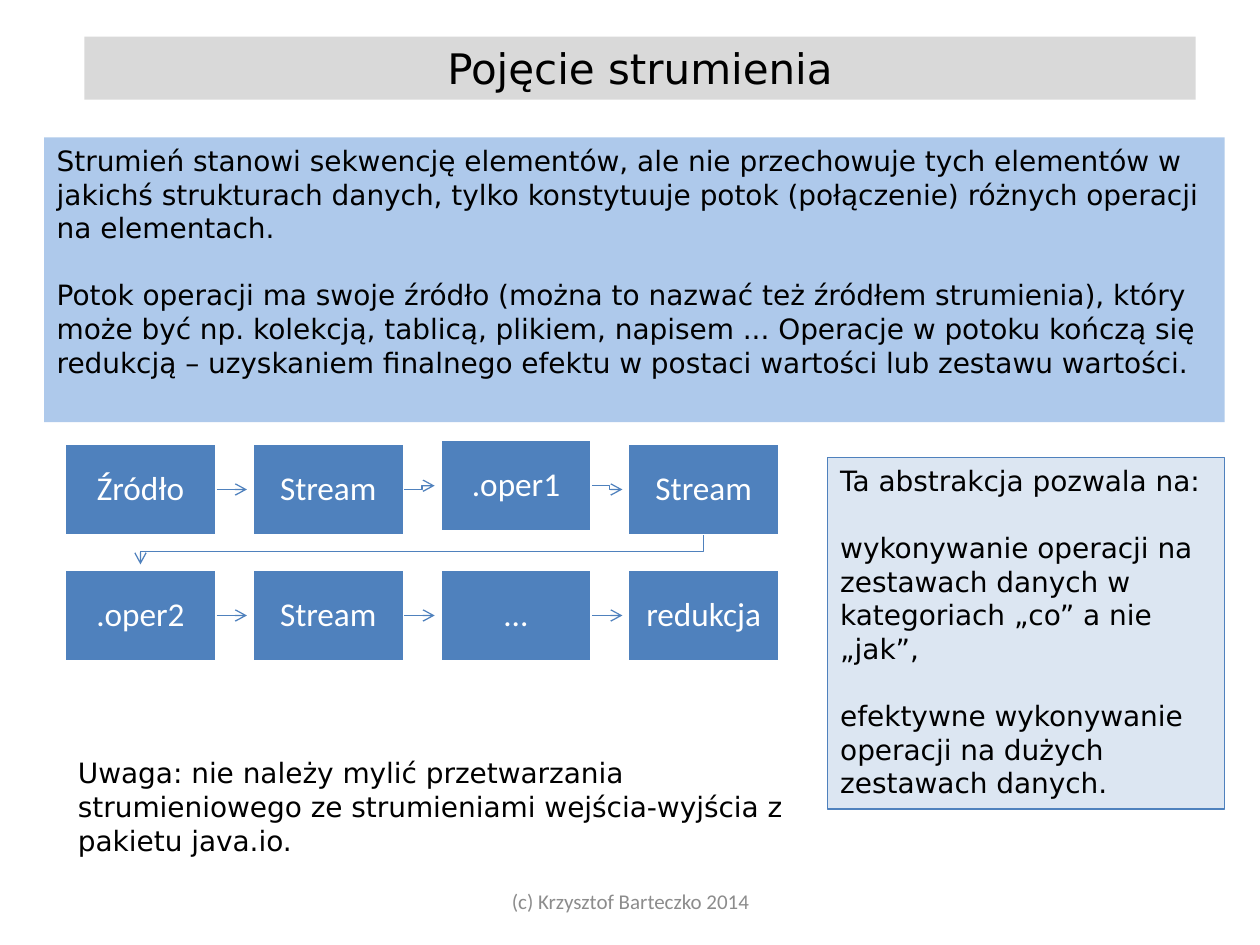
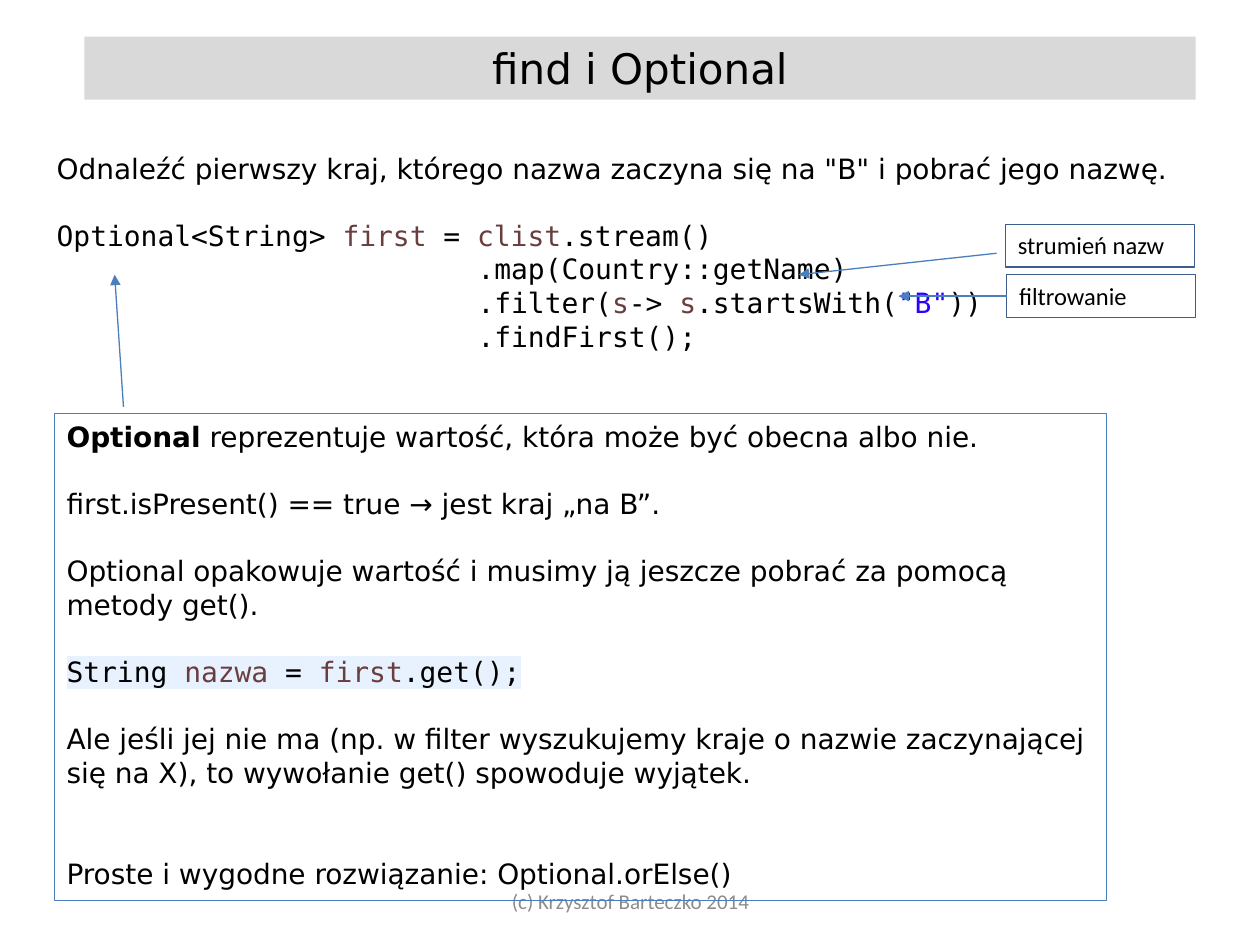
from lxml import etree
from pptx import Presentation
from pptx import util as u
from pptx.dml.color import RGBColor
from pptx.enum import shapes, text
from pptx.oxml.ns import qn

# Shared style
SANS, MONO, UI = "DejaVu Sans", "DejaVu Sans Mono", "Calibri"
BLACK, WHITE, GREY, BAND = "000000", "FFFFFF", "8C8C8C", "D9D9D9"
BLUE, ARROW, LABEL_EDGE = "4F81BD", "4B7EBC", "3A5F8C"
INTRO_FILL, NOTE_FILL, CODE_BACK = "8EB4E3", "DCE6F2", "E8F2FE"
VAR, STRING = {"color": "6A3E3E"}, {"color": "2A00FF"}
FOOTER = "(c) Krzysztof Barteczko 2014"


def para(runs, gap=0, **style):
    """A paragraph; gap counts the lines left free above it."""
    return {"runs": [(runs, {})] if isinstance(runs, str) else runs,
            "gap": gap, "style": style}


# Content: stream concept
INTRO = [
    para("Strumień stanowi sekwencję elementów, ale nie przechowuje tych elementów w "
         "jakichś strukturach danych, tylko konstytuuje potok (połączenie) różnych "
         "operacji na elementach."),
    para("Potok operacji ma swoje źródło (można to nazwać też źródłem strumienia), który "
         "może być np. kolekcją, tablicą, plikiem, napisem ... Operacje w potoku kończą "
         "się redukcją – uzyskaniem finalnego efektu w postaci wartości lub zestawu "
         "wartości.", gap=1),
]
PIPELINE = [["Źródło", "Stream", ".oper1", "Stream"],
            [".oper2", "Stream", "...", "redukcja"]]
BENEFITS = [
    para("Ta abstrakcja pozwala na:"),
    para("wykonywanie operacji na zestawach danych w kategoriach „co” a nie „jak”,", gap=1),
    para("efektywne wykonywanie operacji na dużych zestawach danych.", gap=1),
]
REMARK = [para("Uwaga: nie należy mylić przetwarzania strumieniowego ze strumieniami "
               "wejścia-wyjścia z pakietu java.io.")]

# Content: find and Optional
CODE = {"font": MONO}
CHAIN = {"font": MONO, "indent": 3.34}
TASK = [
    para('Odnaleźć pierwszy kraj, którego nazwa zaczyna się na "B" i pobrać jego nazwę.'),
    para([("Optional<String> ", {}), ("first", VAR), (" = ", {}), ("clist", VAR),
          (".stream()", {})], gap=1, **CODE),
    para(".map(Country::getName)", **CHAIN),
    para([(".filter(", {}), ("s", VAR), ("-> ", {}), ("s", VAR), (".startsWith(", {}),
          ('"B"', STRING), ("))", {})], **CHAIN),
    para(".findFirst();", **CHAIN),
]
OPTIONAL = [
    para([("Optional", {"bold": True}),
          (" reprezentuje wartość, która może być obecna albo nie.", {})]),
    para("first.isPresent() == true → jest kraj „na B”.", gap=1),
    para("Optional opakowuje wartość i musimy ją jeszcze pobrać za pomocą metody get().",
         gap=1),
    para([("String ", {}), ("nazwa", VAR), (" = ", {}), ("first", VAR), (".get();", {})],
         gap=1, font=MONO, highlight=CODE_BACK),
    para("Ale jeśli jej nie ma (np. w filter wyszukujemy kraje o nazwie zaczynającej się "
         "na X), to wywołanie get() spowoduje wyjątek.", gap=1),
    para("Proste i wygodne rozwiązanie: Optional.orElse()", gap=2),
]
LABELS = [("strumień nazw", 7.98, 1.78), ("filtrowanie", 7.99, 2.18)]


def rgb(color):
    return RGBColor.from_string(color)


def inches(*values):
    return [u.Inches(v) for v in values]


def write_run(p, words, size, font, color, bold=False, highlight=None):
    r = p.add_run()
    r.text = words
    r.font.size, r.font.name, r.font.bold = u.Pt(size), font, bold
    r.font.color.rgb = rgb(color)
    if highlight:
        back = etree.Element(qn("a:highlight"))
        etree.SubElement(back, qn("a:srgbClr"), val=highlight)
        r.font.fill  # the highlight follows the fill and precedes the font
        r._r.rPr.find(qn("a:latin")).addprevious(back)


def write(sp, paras, size=16, font=SANS, color=BLACK, align="LEFT", anchor="TOP",
          inset=None, spacing=None):
    tf = sp.text_frame
    tf.word_wrap, tf.auto_size = True, text.MSO_AUTO_SIZE.NONE
    tf.vertical_anchor = getattr(text.MSO_ANCHOR, anchor)
    if inset is not None:
        tf.margin_left = tf.margin_right = u.Inches(inset)
        tf.margin_top = tf.margin_bottom = u.Inches(inset)
    for i, item in enumerate(paras):
        p = tf.paragraphs[0] if i == 0 else tf.add_paragraph()
        p.alignment = getattr(text.PP_ALIGN, align)
        p.space_before, p.space_after = u.Pt(item["gap"] * size * 1.2), u.Pt(0)
        if spacing:
            p.line_spacing = spacing
        style = {"font": font, "color": color, **item["style"]}
        pPr = p._p.get_or_add_pPr()
        pPr.set("marL", str(u.Inches(style.pop("indent", 0))))
        pPr.set("indent", "0")
        etree.SubElement(pPr, qn("a:buNone"))
        for words, extra in item["runs"]:
            write_run(p, words, size, **{**style, **extra})


def place(sp, *box):
    sp.left, sp.top, sp.width, sp.height = inches(*box)


def add_box(s, box, paras, fill=None, line=None, width=0.75, **fmt):
    sp = s.shapes.add_shape(shapes.MSO_SHAPE.RECTANGLE, *inches(*box))
    sp.shadow.inherit = False
    if fill:
        sp.fill.solid()
        sp.fill.fore_color.rgb = rgb(fill)
    else:
        sp.fill.background()
    sp.line.color.rgb = rgb(line)
    sp.line.width = u.Pt(width)
    write(sp, paras, **fmt)
    return sp


def add_text(s, box, paras, **fmt):
    write(s.shapes.add_textbox(*inches(*box)), paras, **fmt)


def style_arrow(sp, color, head):
    sp.line.color.rgb = rgb(color)
    sp.line.width = u.Pt(0.75)
    etree.SubElement(sp.line._get_or_add_ln(), qn("a:tailEnd"), type=head)


def add_arrow(s, start, end, color=ARROW, head="triangle", source=None, side=3):
    cx = s.shapes.add_connector(shapes.MSO_CONNECTOR.STRAIGHT, *inches(*start, *end))
    if source is not None:
        cx.begin_connect(source, side)
    style_arrow(cx, color, head)
    etree.SubElement(cx._element.spPr, qn("a:effectLst"))


def add_bent_arrow(s, points):
    points = [inches(*pt) for pt in points]
    builder = s.shapes.build_freeform(*points[0])
    builder.add_line_segments(points[1:], close=False)
    sp = builder.convert_to_shape()
    sp.shadow.inherit = False
    sp.fill.background()
    style_arrow(sp, BLUE, "arrow")


def new_slide(prs, title, body, box):
    """Title band, footer and body text common to the slides."""
    s = prs.slides.add_slide(prs.slide_layouts[1])
    band, main_text = s.shapes.title, s.placeholders[1]
    place(band, 0.67, 0.29, 8.82, 0.5)
    band.fill.solid()
    band.fill.fore_color.rgb = rgb(BAND)
    write(band, [para(title)], size=24, align="CENTER")
    place(main_text, *box)
    write(main_text, body)
    add_text(s, (3.42, 6.95, 3.17, 0.4), [para(FOOTER)], size=12, font=UI, color=GREY,
             align="CENTER", anchor="MIDDLE")
    return s, main_text


def add_pipeline(s):
    left, top, step_x, step_y, w, h = 0.51, 3.52, 1.49, 1.0, 1.21, 0.73
    lift, short = 0.03, 0.04  # the first operation sits higher; arrows stop short
    for row, names in enumerate(PIPELINE):
        tops = [top + row * step_y - (lift if name == ".oper1" else 0) for name in names]
        for col, name in enumerate(names):
            x, y = left + col * step_x, tops[col]
            step = add_box(s, (x, y, w, h), [para(name)], fill=BLUE, line=WHITE, width=2,
                           size=19, font=UI, color=WHITE, align="CENTER",
                           anchor="MIDDLE", inset=0.15, spacing=0.9)
            if col == len(names) - 1:
                continue
            start, end = (x + w, y + h / 2), (x + step_x - short, tops[col + 1] + h / 2)
            if start[1] == end[1]:
                add_arrow(s, start, end, BLUE, "arrow", step)
            else:
                bend = start[0] + 0.14
                add_bent_arrow(s, [start, (bend, start[1]), (bend, end[1]), end])
    # Turn from the end of the first row to the start of the second
    first, last = left + w / 2, left + 3 * step_x + w / 2
    turn = top + h + 0.13
    add_bent_arrow(s, [(last, top + h), (last, turn), (first, turn),
                       (first, top + step_y - short)])


def stream_slide(prs):
    s, intro = new_slide(prs, "Pojęcie strumienia", INTRO, (0.35, 1.09, 9.37, 2.26))
    intro.fill.solid()
    intro.fill.fore_color.rgb = rgb(INTRO_FILL)
    tint = intro._element.spPr.find(".//" + qn("a:srgbClr"))
    etree.SubElement(tint, qn("a:alpha"), val="71000")
    add_pipeline(s)
    add_box(s, (6.57, 3.63, 3.15, 2.79), BENEFITS, fill=NOTE_FILL, line=BLUE)
    add_text(s, (0.52, 5.95, 5.91, 0.91), REMARK)


def optional_slide(prs):
    s, _ = new_slide(prs, "find i Optional", TASK, (0.35, 1.15, 9.37, 1.72))
    names, filtering = [add_box(s, (x, y, 1.5, 0.34), [para(label)], line=LABEL_EDGE,
                                size=14, font=UI) for label, x, y in LABELS]
    add_arrow(s, (7.91, 2.01), (6.34, 2.18))
    add_arrow(s, (7.99, 2.35), (7.13, 2.35), source=filtering, side=1)
    add_box(s, (0.43, 3.28, 8.35, 3.87), OPTIONAL, line=ARROW)
    add_arrow(s, (0.98, 3.23), (0.91, 2.18))


def main():
    prs = Presentation()
    prs.slide_width, prs.slide_height = inches(10, 7.5)
    stream_slide(prs)
    optional_slide(prs)
    prs.save("out.pptx")


if __name__ == "__main__":
    main()
